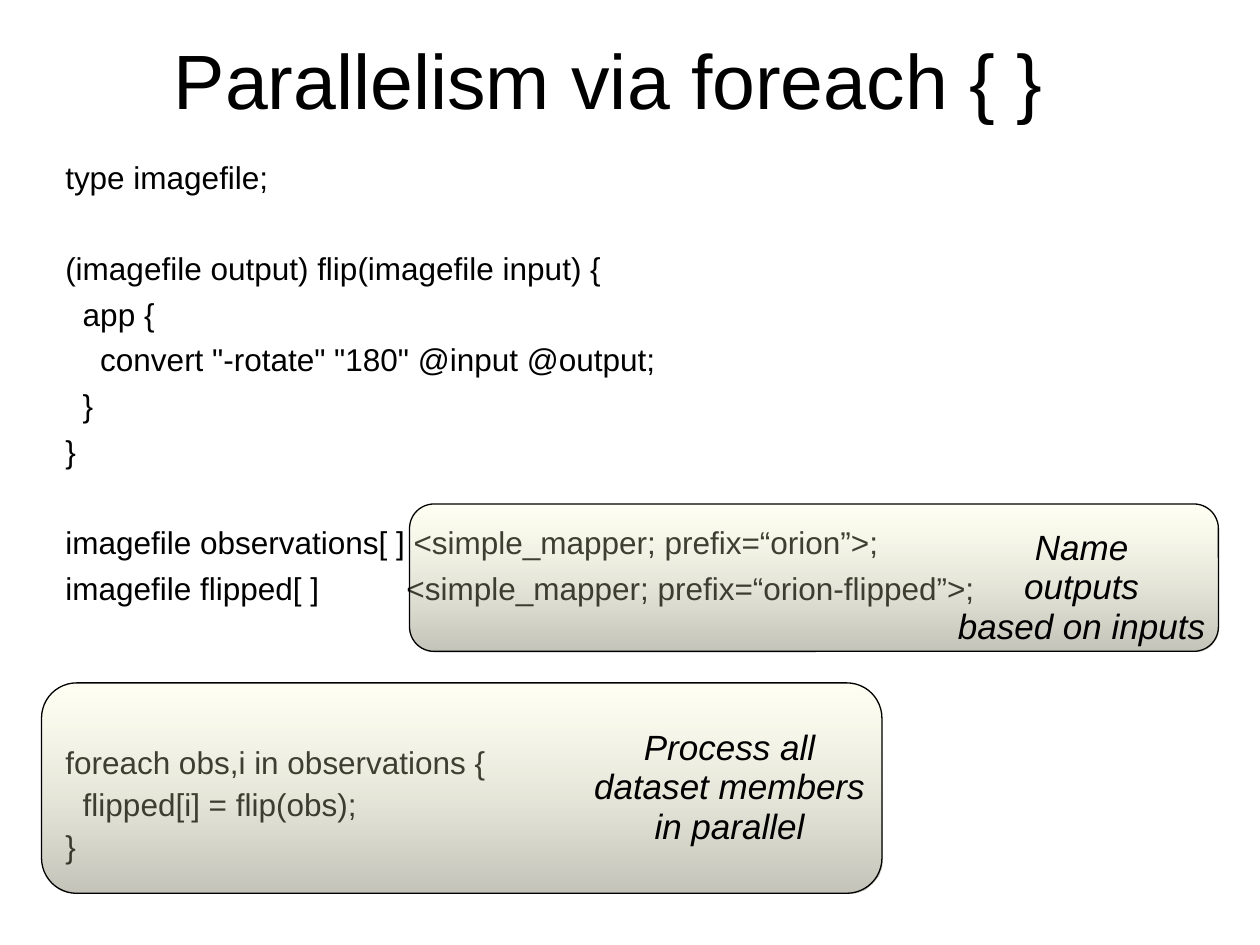
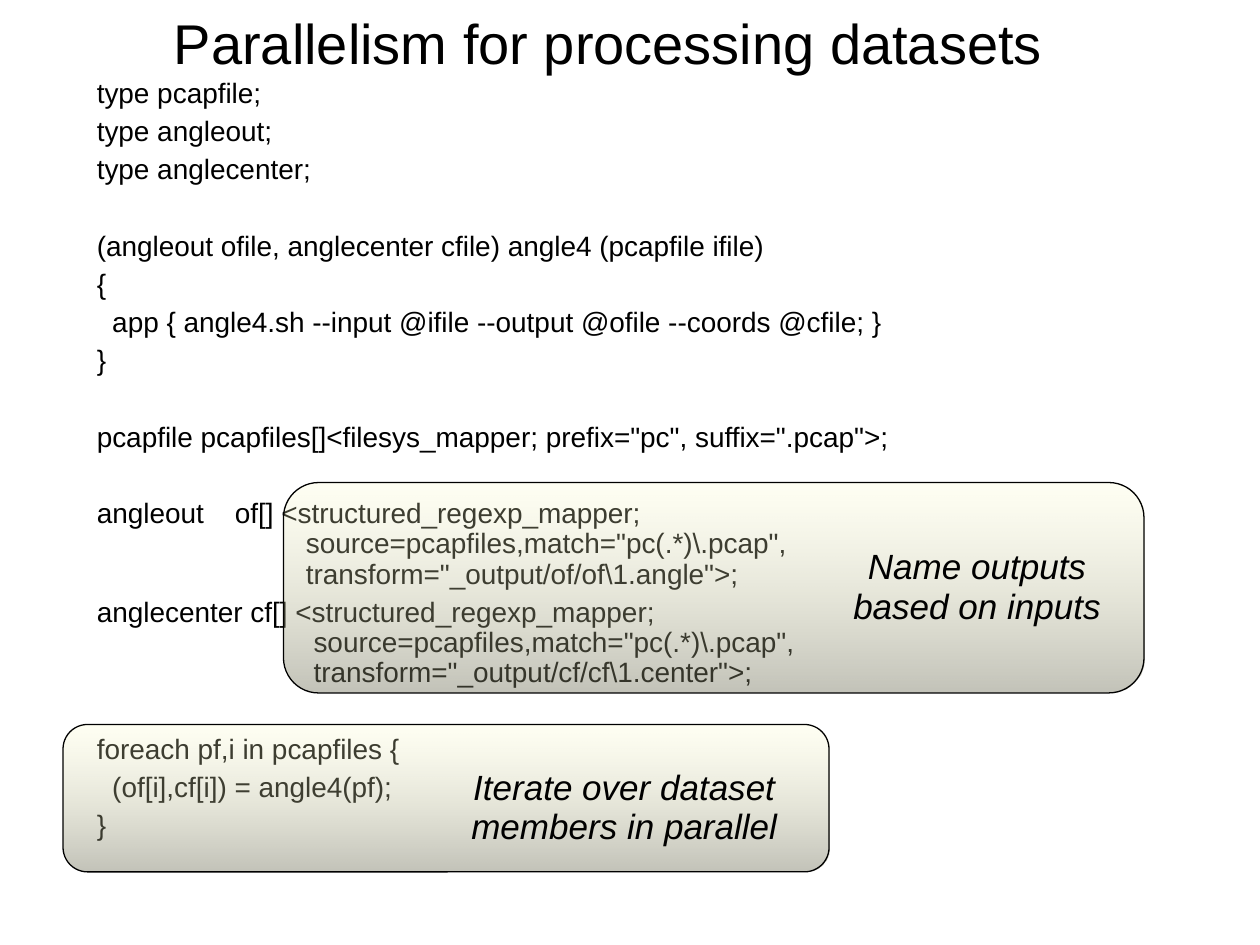
import dataclasses

import lxml.etree
import pptx
import pptx.dml.color
import pptx.enum.dml
import pptx.enum.shapes
import pptx.enum.text
import pptx.oxml.ns
import pptx.util

Inches = pptx.util.Inches
Pt = pptx.util.Pt
RGB = pptx.dml.color.RGBColor
TITLE_ONLY = 5


@dataclasses.dataclass(frozen=True)
class Theme:
    """Colours, type sizes and spacing shared by the slides."""
    font: str = "Arial"
    ink: str = "000000"
    shade: tuple = (("FFFFCC", 23), ("75755E", 44))
    outline: float = 0.75
    label_size: int = 20
    label_leading: float = 0.94
    hanging: float = 0.37


@dataclasses.dataclass(frozen=True)
class Block:
    """Lines of code set with one leading, and the gap above them."""
    lines: tuple
    leading: float = 0.9
    before: float = 4.5
    gap: float = 0


THEME = Theme()

FLIP_CODE = (
    Block(("type imagefile;",), 0.84, 8),
    Block((
        "(imagefile output) flip(imagefile input) {",
        "  app {",
        '    convert "-rotate" "180" @input @output;',
        "  }",
        "}",
    ), 0.84, 8, 34),
    Block((
        "imagefile observations[ ] <simple_mapper; prefix=“orion”>;",
        "imagefile flipped[ ]          <simple_mapper; prefix=“orion-flipped”>;",
    ), 0.84, 8, 34),
    Block((
        "foreach obs,i in observations {",
        "  flipped[i] = flip(obs);",
        "}",
    ), gap=80.5),
)

ANGLE_CODE = (
    Block(("type pcapfile;", "type angleout;", "type anglecenter;")),
    Block((
        "(angleout ofile, anglecenter cfile) angle4 (pcapfile ifile)",
        "{",
        "  app { angle4.sh --input @ifile --output @ofile --coords @cfile; }",
        "}",
    ), gap=26.5),
    Block((
        'pcapfile pcapfiles[]<filesys_mapper; prefix="pc", suffix=".pcap">;',
    ), gap=26.5),
    Block((
        "angleout    of[] <structured_regexp_mapper;\n"
        '                     source=pcapfiles,match="pc(.*)\\.pcap",\n'
        '                     transform="_output/of/of\\1.angle">;',
        "anglecenter cf[] <structured_regexp_mapper;\n"
        '                      source=pcapfiles,match="pc(.*)\\.pcap",\n'
        '                      transform="_output/cf/cf\\1.center">;',
    ), gap=26.5),
    Block((
        "foreach pf,i in pcapfiles {",
        "  (of[i],cf[i]) = angle4(pf);",
        "}",
    ), gap=26.5),
)


def add_runs(p, text, size, italic=False):
    """Add text to a paragraph, with a line break at each newline."""
    for i, line in enumerate(text.split("\n")):
        if i:
            p.add_line_break()
        r = p.add_run()
        r.text = line
        r.font.name = THEME.font
        r.font.size = Pt(size)
        r.font.italic = italic
        r.font.color.rgb = RGB.from_string(THEME.ink)


def add_text_frame(slide, box):
    """Add a wrapping text box and return its text frame."""
    tf = slide.shapes.add_textbox(*map(Inches, box)).text_frame
    tf.word_wrap = True
    return tf


def set_title(slide, box, text, size):
    """Place and format the title placeholder."""
    sp = slide.shapes.title
    sp.left, sp.top, sp.width, sp.height = map(Inches, box)
    tf = sp.text_frame
    tf.auto_size = pptx.enum.text.MSO_AUTO_SIZE.NONE
    tf.vertical_anchor = pptx.enum.text.MSO_ANCHOR.MIDDLE
    p = tf.paragraphs[0]
    p.alignment = pptx.enum.text.PP_ALIGN.CENTER
    add_runs(p, text, size)


def add_code(slide, box, blocks, size):
    """Set blocks of code as hanging paragraphs in one text box."""
    tf = add_text_frame(slide, box)
    p = tf.paragraphs[0]
    for block in blocks:
        for i, line in enumerate(block.lines):
            if p.runs:
                p = tf.add_paragraph()
                p.space_before = Pt(block.before if i else block.gap)
            pPr = p._p.get_or_add_pPr()
            pPr.set("marL", str(Inches(THEME.hanging)))
            pPr.set("indent", str(-Inches(THEME.hanging)))
            p.line_spacing = block.leading
            add_runs(p, line, size)


def add_callout(slide, box, label_box, text):
    """Draw a translucent panel with a label placed relative to its corner."""
    sp = slide.shapes.add_shape(
        pptx.enum.shapes.MSO_SHAPE.ROUNDED_RECTANGLE, *map(Inches, box))
    sp.shadow.inherit = False
    sp.fill.gradient()
    sp.fill.gradient_angle = 270
    for stop, (color, _) in zip(sp.fill.gradient_stops, THEME.shade):
        stop.color.rgb = RGB.from_string(color)
    colors = sp._element.spPr.iter(pptx.oxml.ns.qn("a:srgbClr"))
    for color, (_, opacity) in zip(list(colors), THEME.shade):
        alpha = lxml.etree.SubElement(color, pptx.oxml.ns.qn("a:alpha"))
        alpha.set("val", str(opacity * 1000))
    sp.line.color.rgb = RGB.from_string(THEME.ink)
    sp.line.width = Pt(THEME.outline)

    left, top, width, height = label_box
    tf = add_text_frame(slide, (box[0] + left, box[1] + top, width, height))
    tf.vertical_anchor = pptx.enum.text.MSO_ANCHOR.MIDDLE
    p = tf.paragraphs[0]
    p.alignment = pptx.enum.text.PP_ALIGN.CENTER
    p.line_spacing = THEME.label_leading
    add_runs(p, text, THEME.label_size, italic=True)


def add_code_slide(prs, title, code, callouts):
    """Add a slide with a title, a code listing and callouts over it."""
    slide = prs.slides.add_slide(prs.slide_layouts[TITLE_ONLY])
    set_title(slide, *title)
    add_code(slide, *code)
    for callout in callouts:
        add_callout(slide, *callout)


def main():
    """Build the two slides and save them."""
    prs = pptx.Presentation()
    prs.slide_width, prs.slide_height = Inches(10), Inches(7.5)
    add_code_slide(
        prs,
        ((0.58, 0, 8.5, 1.25), "Parallelism via foreach { }", 44),
        ((0.42, 1.25, 8.5, 6), FLIP_CODE, 18),
        (
            ((3.25, 4, 6.42, 1.17), (4.25, 0.08, 2.17, 1.17),
             "Name\noutputs\nbased on inputs"),
            ((0.33, 5.42, 6.67, 1.67), (4.25, 0.25, 2.42, 1.17),
             "Process all\ndataset members\nin parallel"),
        ),
    )
    add_code_slide(
        prs,
        ((0.58, 0, 8.5, 0.67), "Parallelism for processing datasets", 32),
        ((0.67, 0.58, 8.5, 6.92), ANGLE_CODE, 16),
        (
            ((0.5, 5.75, 6.08, 1.17), (3.08, 0.25, 2.75, 0.83),
             "Iterate over dataset members in parallel"),
            ((2.25, 3.83, 6.83, 1.67), (4.42, 0.25, 2.17, 1.17),
             "Name outputs based on inputs"),
        ),
    )
    prs.save("out.pptx")


if __name__ == "__main__":
    main()
